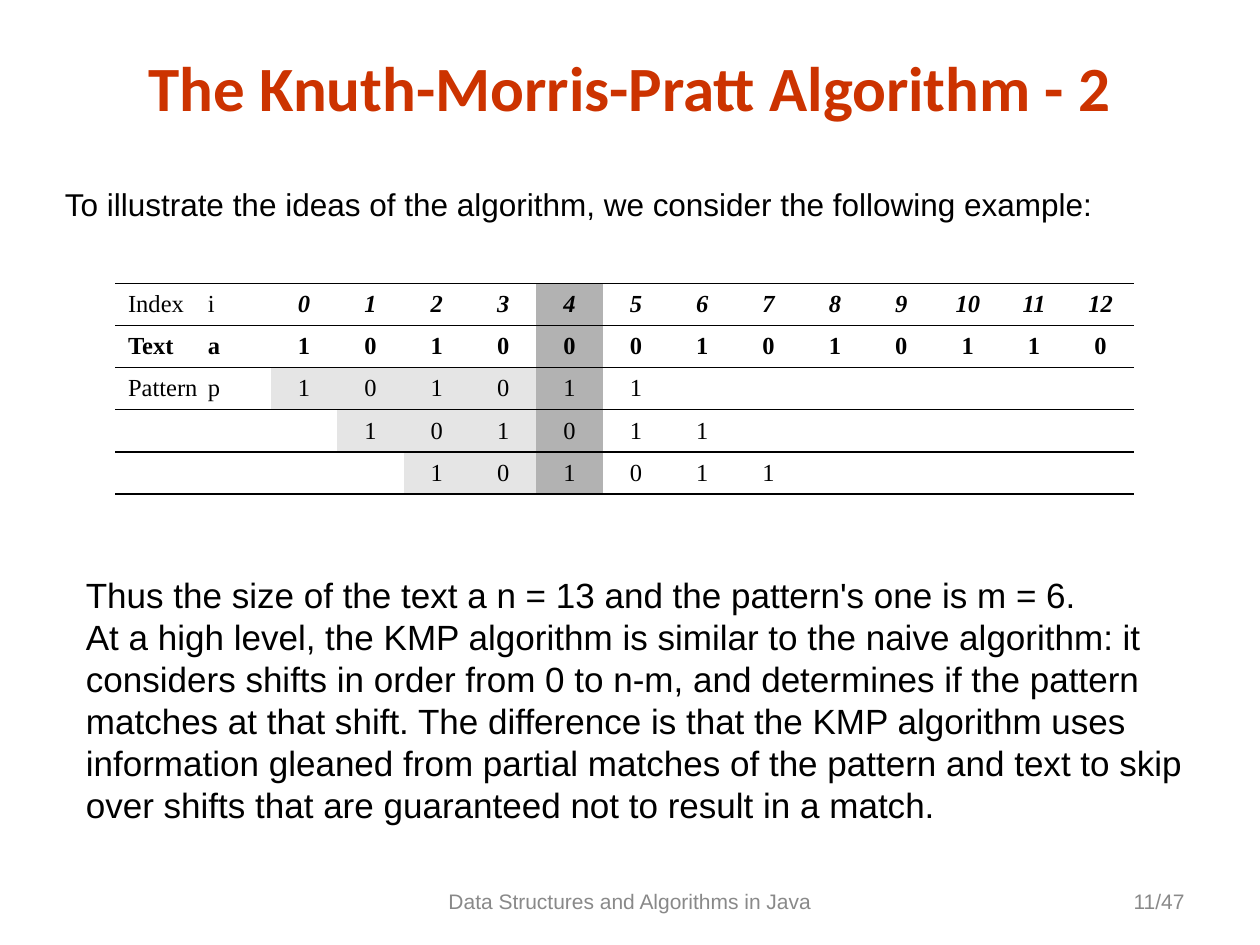
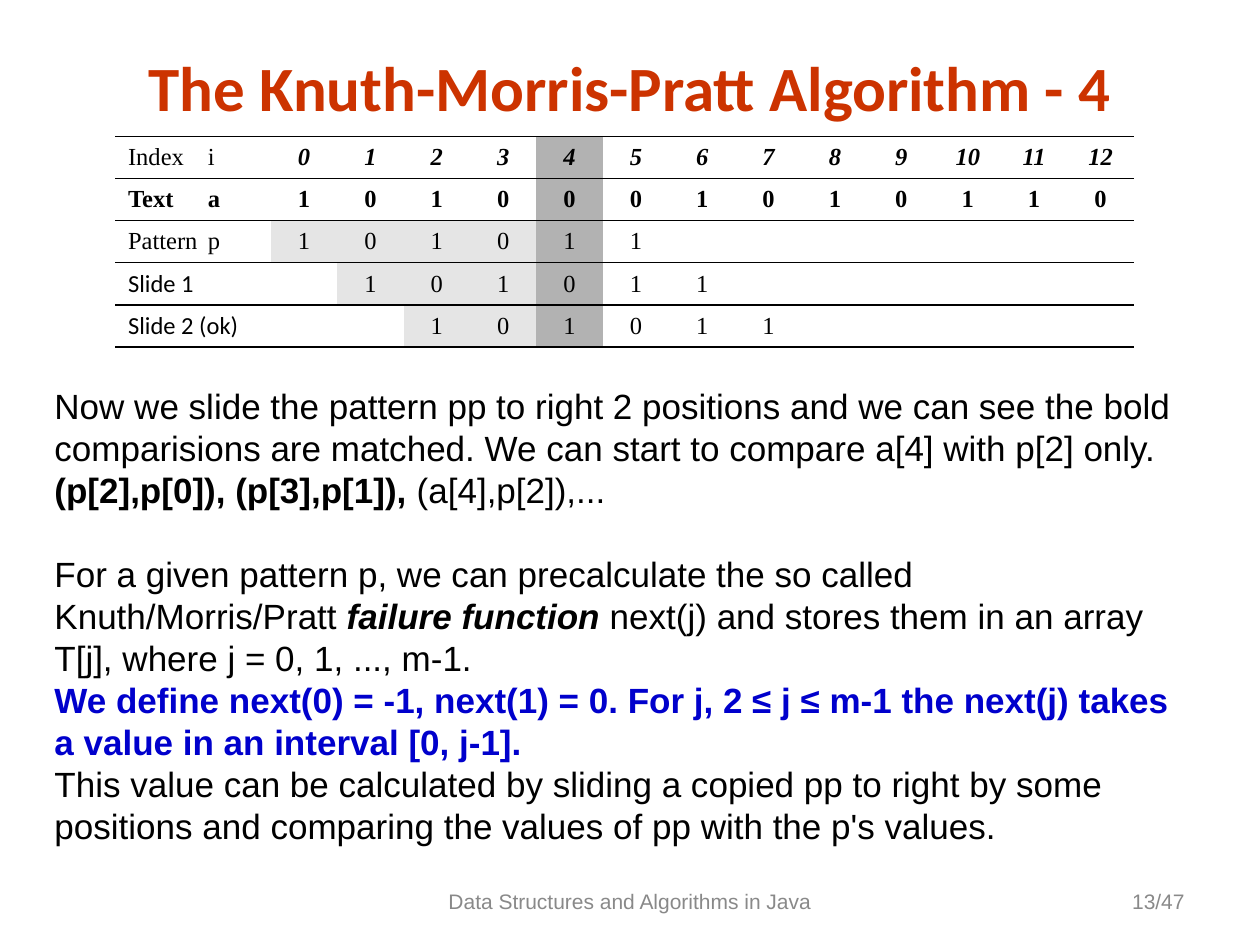
from lxml import etree
from pptx import Presentation
from pptx.dml.color import RGBColor
from pptx.enum.text import MSO_ANCHOR, PP_ALIGN
from pptx.oxml.ns import qn
from pptx.util import Inches, Pt

LEFT, CENTER, RIGHT = PP_ALIGN.LEFT, PP_ALIGN.CENTER, PP_ALIGN.RIGHT
TOP, MIDDLE = MSO_ANCHOR.TOP, MSO_ANCHOR.MIDDLE

COLORS = {
    "title": "CC3300", "text": "000000", "footer": "898989", "definition": "0000CC",
    "plain": "FFFFFF", "matched": "E5E5E5", "compared": "B2B2B2",
}
STYLES = {
    "title": {"name": "Calibri", "size": 36, "color": "title", "bold": True},
    "intro": {"name": "Arial", "size": 18, "color": "text"},
    "body": {"name": "Arial", "size": 20, "color": "text"},
    "strong": {"name": "Arial", "size": 20, "color": "text", "bold": True},
    "term": {"name": "Arial", "size": 20, "color": "text", "bold": True, "italic": True},
    "definition": {"name": "Arial", "size": 20, "color": "definition", "bold": True},
    "footer": {"name": "Arial", "size": 12, "color": "footer"},
    "cell": {"name": "Times New Roman", "size": 14, "color": "text"},
    "index": {"name": "Times New Roman", "size": 14, "color": "text", "bold": True, "italic": True},
    "strong cell": {"name": "Times New Roman", "size": 14, "color": "text", "bold": True},
    "shift label": {"name": "Calibri", "size": 14, "color": "text"},
}

UNITS_PER_INCH = 12
TITLE_BOX = (6, 4, 108, 8.4)
FOOTER_BOX = (41, 83.4, 38, 4.8)
NUMBER_BOX = (86, 83.4, 28, 4.8)
TABLE_LEFT, TABLE_WIDTH, TABLE_HEIGHT, LABEL_WIDTH = 11, 97, 20, 14.8
LABEL_TAB = 7.6
LINE_SPACING = 24

FOOTER = "Data Structures and Algorithms in Java"
TITLE = "The Knuth-Morris-Pratt Algorithm - {}"
PAGE_COUNT = 47
SEARCHED_TEXT = [1, 0, 1, 0, 0, 0, 1, 0, 1, 0, 1, 1, 0]
PATTERN = [1, 0, 1, 0, 1, 1]
COMPARED_INDEX = 4
PLAIN_TABLE_STYLE = "{2D5ABB26-0587-4C30-8999-92F81FD0307C}"

SLIDES = [
    {
        "part": 2, "page": 11, "table_top": 27,
        "shift_labels": ["Pattern\tp", "", ""],
        "texts": [
            {"box": (5, 17, 108, 4.8), "paragraphs": [
                [("To illustrate the ideas of the algorithm, we consider the following example:", "intro")],
            ]},
            {"box": (7, 54, 108, 25.2), "spacing": LINE_SPACING, "paragraphs": [
                [("Thus the size of the text a n = 13 and the pattern's one is m = 6.", "body")],
                [("At a high level, the KMP algorithm is similar to the naive algorithm: it considers "
                  "shifts in order from 0 to n-m, and determines if the pattern matches at that shift. "
                  "The difference is that the KMP algorithm uses information gleaned from partial "
                  "matches of the pattern and text to skip over shifts that are guaranteed not to "
                  "result in a match.", "body")],
            ]},
        ],
    },
    {
        "part": 4, "page": 13, "table_top": 13,
        "shift_labels": ["Pattern\tp", "Slide 1", "Slide 2 (ok)"],
        "texts": [
            {"box": (4, 36, 111, 45.2), "spacing": LINE_SPACING, "gap_before": 3, "paragraphs": [
                [("Now we slide the pattern pp to right 2 positions and we can see the bold "
                  "comparisions are matched. We can start to compare a[4] with p[2] only.", "body")],
                [("(p[2],p[0]), (p[3],p[1]),", "strong"), (" (a[4],p[2]),...", "body")],
                [("For a given pattern p, we can precalculate the so called Knuth/Morris/Pratt ", "body"),
                 ("failure function", "term"),
                 (" next(j) and stores them in an array T[j], where j = 0, 1, ..., m-1.", "body")],
                [("We define next(0) = -1, next(1) = 0. For j, 2 ≤ j ≤ m-1 the next(j) takes "
                  "a value in an interval [0, j-1].", "definition")],
                [("This value can be calculated by sliding a copied pp to right by some positions "
                  "and comparing the values of pp with the p's values.", "body")],
            ]},
        ],
    },
]


def grid(units):
    return Inches(units / UNITS_PER_INCH)


def add_run(paragraph, text, style):
    run = paragraph.add_run()
    run.text = text
    formats = dict(STYLES[style])
    run.font.color.rgb = RGBColor.from_string(COLORS[formats.pop("color")])
    formats["size"] = Pt(formats["size"])
    for attribute, value in formats.items():
        setattr(run.font, attribute, value)


def add_text(slide, box, paragraphs, alignment=LEFT, anchor=TOP, spacing=None, gap_before=None):
    frame = slide.shapes.add_textbox(*map(grid, box)).text_frame
    frame.word_wrap = True
    frame.vertical_anchor = anchor
    for number, runs in enumerate(paragraphs, 1):
        paragraph = frame.paragraphs[0] if number == 1 else frame.add_paragraph()
        paragraph.alignment = alignment
        if spacing:
            paragraph.line_spacing = Pt(spacing)
        if number == gap_before:
            paragraph.space_before = Pt(LINE_SPACING)
        for text, style in runs:
            add_run(paragraph, text, style)


def add_borders(cell):
    properties = cell._tc.get_or_add_tcPr()
    for side in ("a:lnT", "a:lnB"):
        line = etree.SubElement(properties, qn(side), w=str(Pt(1)))
        fill = etree.SubElement(line, qn("a:solidFill"))
        etree.SubElement(fill, qn("a:srgbClr"), val=COLORS["text"])


def fill_cell(cell, text, style, alignment, color):
    add_borders(cell)
    cell.fill.solid()
    cell.fill.fore_color.rgb = RGBColor.from_string(COLORS[color])
    cell.vertical_anchor = MIDDLE
    paragraph = cell.text_frame.paragraphs[0]
    paragraph.alignment = alignment
    if "\t" in text:
        tabs = etree.SubElement(paragraph._p.get_or_add_pPr(), qn("a:tabLst"))
        etree.SubElement(tabs, qn("a:tab"), pos=str(grid(LABEL_TAB)), algn="l")
    if text:
        add_run(paragraph, text, style)
    else:
        size = str(STYLES[style]["size"] * 100)
        etree.SubElement(paragraph._p, qn("a:endParaRPr"), sz=size)


def comparison_rows(shift_labels):
    length = len(SEARCHED_TEXT)
    rows = [
        ("Index\ti", "cell", range(length), "index", None),
        ("Text\ta", "strong cell", SEARCHED_TEXT, "strong cell", None),
    ]
    for shift, label in enumerate(shift_labels):
        values = [""] * shift + PATTERN + [""] * (length - shift - len(PATTERN))
        rows.append((label, "shift label" if shift else "cell", values, "cell", shift))
    return rows


def cell_color(index, shift):
    if index == COMPARED_INDEX:
        return "compared"
    if shift is not None and shift <= index < COMPARED_INDEX:
        return "matched"
    return "plain"


def add_comparison_table(slide, top, shift_labels):
    rows = comparison_rows(shift_labels)
    count = len(SEARCHED_TEXT)
    box = (TABLE_LEFT, top, TABLE_WIDTH, TABLE_HEIGHT)
    frame = slide.shapes.add_table(len(rows), count + 1, *map(grid, box))
    table = frame.table
    table.first_row = table.horz_banding = False
    table._tbl.tblPr.find(qn("a:tableStyleId")).text = PLAIN_TABLE_STYLE
    for number, column in enumerate(table.columns):
        column.width = grid((TABLE_WIDTH - LABEL_WIDTH) / count if number else LABEL_WIDTH)
    for number, (label, label_style, values, style, shift) in enumerate(rows):
        table.rows[number].height = grid(TABLE_HEIGHT / len(rows))
        fill_cell(table.cell(number, 0), label, label_style, LEFT, "plain")
        for index, value in enumerate(values):
            cell = table.cell(number, index + 1)
            fill_cell(cell, str(value), style, CENTER, cell_color(index, shift))


def build_slide(presentation, content):
    slide = presentation.slides.add_slide(presentation.slide_layouts[6])
    shared = [
        (FOOTER_BOX, FOOTER, "footer", CENTER),
        (NUMBER_BOX, f"{content['page']}/{PAGE_COUNT}", "footer", RIGHT),
        (TITLE_BOX, TITLE.format(content["part"]), "title", CENTER),
    ]
    for box, text, style, alignment in shared:
        add_text(slide, box, [[(text, style)]], alignment, MIDDLE)
    add_comparison_table(slide, content["table_top"], content["shift_labels"])
    for text in content["texts"]:
        add_text(slide, **text)


def main():
    presentation = Presentation()
    presentation.slide_width = Inches(10)
    presentation.slide_height = Inches(7.5)
    for content in SLIDES:
        build_slide(presentation, content)
    presentation.save("out.pptx")


if __name__ == "__main__":
    main()
